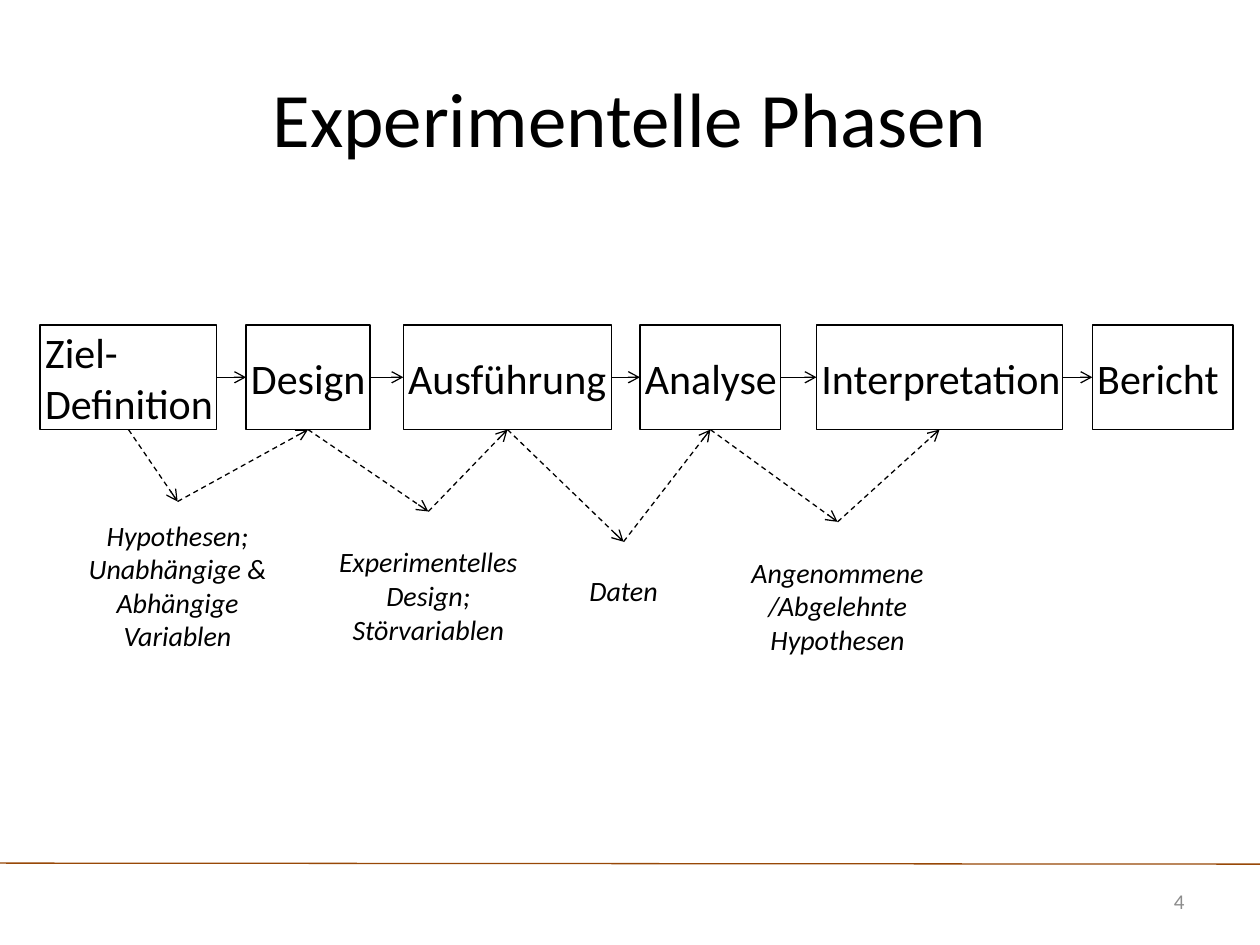
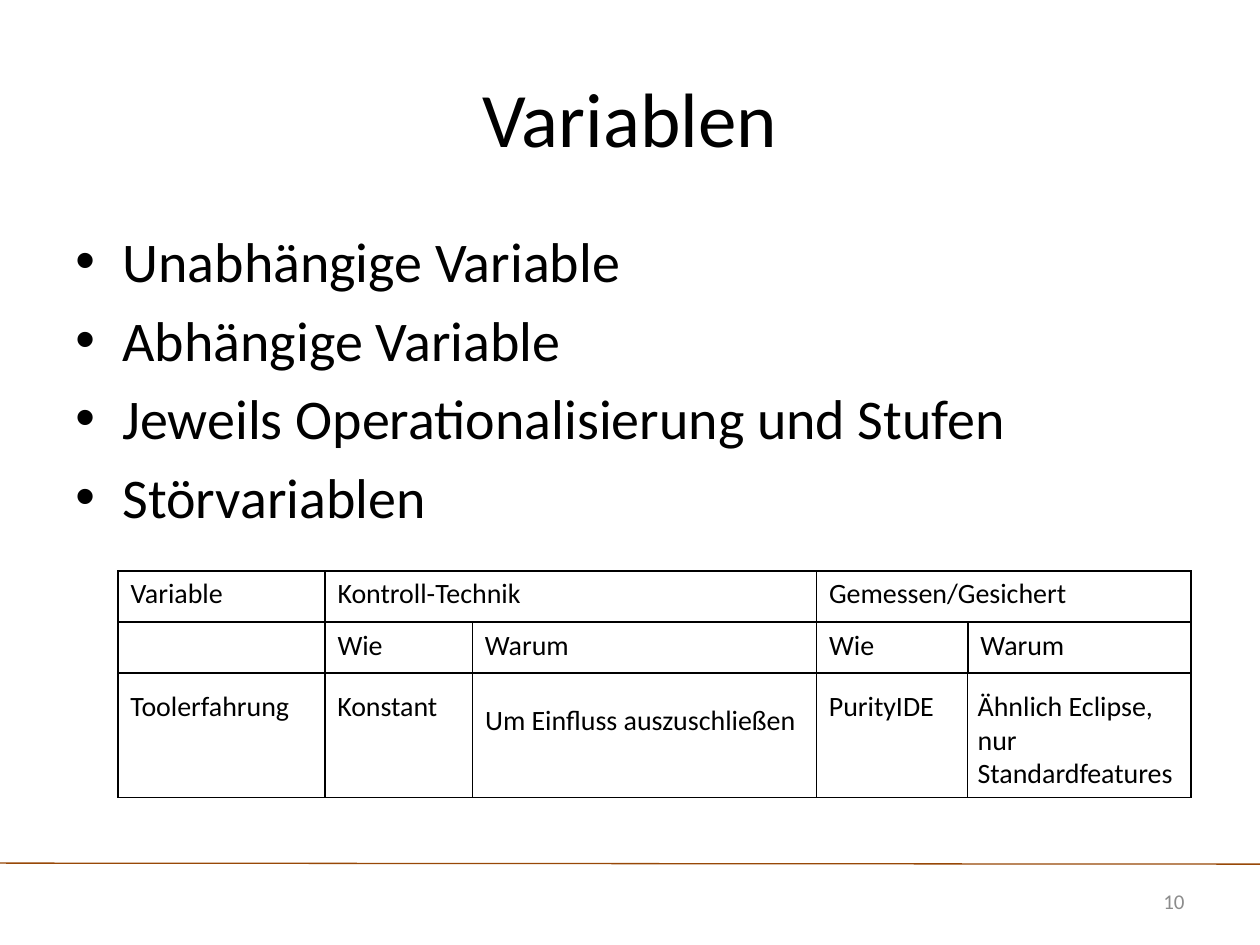
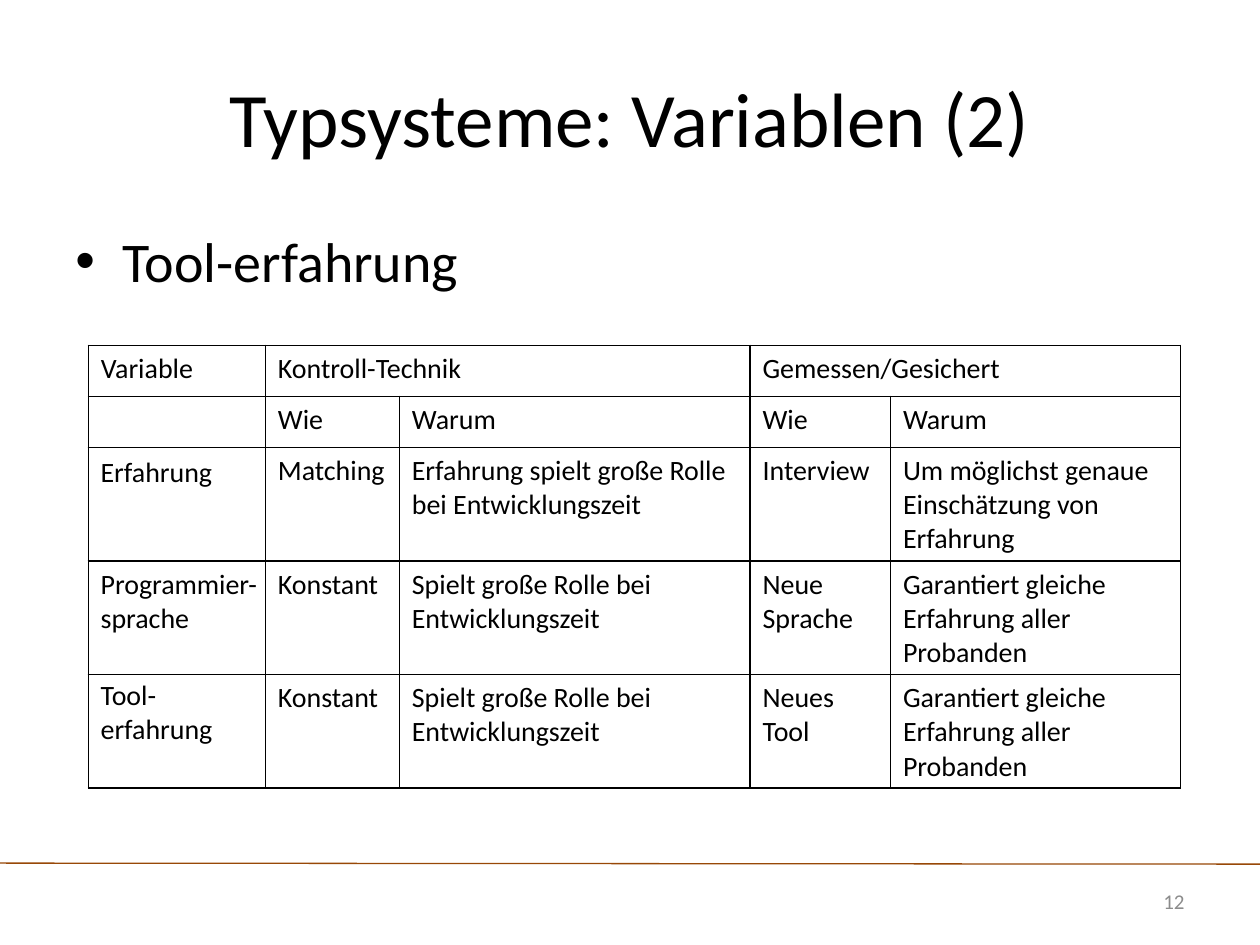
from dataclasses import dataclass
from itertools import accumulate, pairwise
from typing import Optional

from lxml.etree import SubElement
from pptx import Presentation
from pptx.dml.color import RGBColor
from pptx.enum.dml import MSO_LINE
from pptx.enum.shapes import MSO_CONNECTOR, MSO_SHAPE
from pptx.enum.text import MSO_ANCHOR, PP_ALIGN
from pptx.oxml.ns import qn
from pptx.shapes.autoshape import Shape
from pptx.shapes.connector import Connector
from pptx.slide import Slide
from pptx.text.text import TextFrame
from pptx.util import Cm, Pt

COLOURS = {"ink": "000000", "rule": "984807", "number": "8C8C8C"}
FONT = "Calibri"
TOP, LEFT, BOTTOM, RIGHT = range(4)  # connection sites of a rectangle


# Kinds of repeated elements, lengths in centimetres
@dataclass(frozen=True)
class Area:
    left: float
    top: float
    width: float
    height: float


@dataclass(frozen=True)
class TextStyle:
    size: float
    colour: str = "ink"
    align: PP_ALIGN = PP_ALIGN.LEFT
    anchor: MSO_ANCHOR = MSO_ANCHOR.MIDDLE
    italic: bool = False


@dataclass(frozen=True)
class Label:
    area: Area
    lines: tuple[str, ...]


@dataclass(frozen=True)
class Phase:
    left: float
    width: float
    name: str


TITLE = TextStyle(44, align=PP_ALIGN.CENTER)
BODY = TextStyle(32, anchor=MSO_ANCHOR.TOP)
NUMBER = TextStyle(12, "number", PP_ALIGN.RIGHT)
PHASE = TextStyle(24)
NOTE = TextStyle(16, align=PP_ALIGN.CENTER, italic=True)
CELL = TextStyle(16, anchor=MSO_ANCHOR.TOP)
ENTRY = TextStyle(16)

# Slide 1: phases and the results passed between them
PHASE_TOP, PHASE_HEIGHT = 6.55, 2.11
PHASES = [
    Phase(0.81, 3.56, "Ziel-Definition"),
    Phase(4.96, 2.5, "Design"),
    Phase(8.13, 4.2, "Ausführung"),
    Phase(12.9, 2.84, "Analyse"),
    Phase(16.46, 4.96, "Interpretation"),
    Phase(22.02, 2.84, "Bericht"),
]
RESULTS = [
    Label(Area(1.19, 10.11, 4.78, 3.38), ("Hypothesen; Unabhängige & Abhängige Variablen",)),
    Label(Area(6.55, 10.31, 4.17, 3.38), ("Experimentelles Design;", "Störvariablen")),
    Label(Area(11.3, 10.92, 2.54, 1.98), ("Daten",)),
    Label(Area(14.88, 10.52, 4.01, 3.38), ("Angenommene/Abgelehnte Hypothesen",)),
]

# Tables on slides 2 and 3
HEADER = [
    ["Variable", "Kontroll-Technik", "", "Gemessen/Gesichert", ""],
    ["", "Wie", "Warum", "Wie", "Warum"],
]
HEADER_ROW, ENTRY_ROW = 1.03, 2.29

TOOL_LEFT, TOOL_TOP = 2.38, 11.51
TOOL_COLUMNS = [4.17, 2.97, 6.94, 3.05, 4.5]
GRID_TOP, GRID_BOTTOM = 13.49, 16.08
TOOL_ENTRIES = [
    Label(Area(2.38, 13.92, 4.17, 0.58), ("Toolerfahrung",)),
    Label(Area(6.55, 13.92, 2.77, 0.58), ("Konstant",)),
    Label(Area(9.53, 13.9, 6.93, 1.2), ("Um Einfluss auszuschließen",)),
    Label(Area(16.46, 13.92, 2.97, 0.58), ("PurityIDE",)),
    Label(Area(19.46, 13.92, 4.57, 1.96), ("Ähnlich Eclipse, nur Standardfeatures",)),
]

TYPE_LEFT, TYPE_TOP = 1.78, 6.96
TYPE_COLUMNS = [3.57, 2.7, 7.07, 2.83, 5.85]
TYPE_ROWS = [
    ["", "Matching", "Erfahrung spielt große Rolle bei Entwicklungszeit",
     "Interview", "Um möglichst genaue Einschätzung von Erfahrung"],
    ["", "Konstant", "Spielt große Rolle bei Entwicklungszeit",
     "Neue Sprache", "Garantiert gleiche Erfahrung aller Probanden"],
    ["", "Konstant", "Spielt große Rolle bei Entwicklungszeit",
     "Neues Tool", "Garantiert gleiche Erfahrung aller Probanden"],
]
TYPE_NAMES = [
    Label(Area(1.78, 9.22, 4.17, 0.58), ("Erfahrung",)),
    Label(Area(1.78, 11.3, 3.73, 1.63), ("Programmier-", "sprache")),
    Label(Area(1.78, 13.54, 3.94, 1.63), ("Tool-", "erfahrung")),
]


def colour(name: str) -> RGBColor:
    return RGBColor.from_string(COLOURS[name])


# Text
def add_bullet(para) -> None:
    properties = para._p.get_or_add_pPr()
    properties.set("marL", str(Cm(0.95)))
    properties.set("indent", str(-Cm(0.95)))
    SubElement(properties, qn("a:buFont"), typeface="Arial")
    SubElement(properties, qn("a:buChar"), char="•")


def write(frame: TextFrame, lines: tuple[str, ...], style: TextStyle,
          bullets: bool = False) -> None:
    frame.word_wrap = True
    frame.vertical_anchor = style.anchor
    for index, line in enumerate(lines):
        para = frame.add_paragraph() if index else frame.paragraphs[0]
        para.alignment = style.align
        if bullets:
            if index:
                para.space_before = Pt(6.4)
            add_bullet(para)
        span = para.add_run()
        span.text = line
        span.font.name = FONT
        span.font.size = Pt(style.size)
        span.font.italic = style.italic
        span.font.color.rgb = colour(style.colour)


def add_text(page: Slide, label: Label, style: TextStyle, bullets: bool = False) -> Shape:
    area = label.area
    box = page.shapes.add_textbox(
        Cm(area.left), Cm(area.top), Cm(area.width), Cm(area.height))
    write(box.text_frame, label.lines, style, bullets)
    return box


# Lines and arrows
def add_line(page: Slide, start: tuple[float, float] = (0, 0),
             end: tuple[float, float] = (0, 0), ink: str = "ink",
             dash: Optional[MSO_LINE] = None) -> Connector:
    line = page.shapes.add_connector(
        MSO_CONNECTOR.STRAIGHT, *(Cm(value) for value in (*start, *end)))
    line.line.color.rgb = colour(ink)
    line.line.width = Pt(0.75)
    if dash:
        line.line.dash_style = dash
    SubElement(line.element.spPr, qn("a:effectLst"))
    return line


def join(page: Slide, source: Shape, source_site: int, target: Shape,
         target_site: int, dash: Optional[MSO_LINE] = None) -> None:
    arrow = add_line(page, dash=dash)
    arrow.begin_connect(source, source_site)
    arrow.end_connect(target, target_site)
    SubElement(arrow.element.spPr.find(qn("a:ln")), qn("a:tailEnd"), type="arrow")


# Tables
def add_borders(cell) -> None:
    properties = cell._tc.get_or_add_tcPr()
    for side in ("lnL", "lnR", "lnT", "lnB"):
        border = SubElement(properties, qn(f"a:{side}"), w=str(Pt(1)))
        fill = SubElement(border, qn("a:solidFill"))
        SubElement(fill, qn("a:srgbClr"), val=COLOURS["ink"])


def add_grid(page: Slide, left: float, top: float, columns: list[float],
             rows: list[list[str]], row_height: float, spans: bool = False) -> None:
    table = page.shapes.add_table(
        len(rows), len(columns), Cm(left), Cm(top),
        Cm(sum(columns)), Cm(row_height * len(rows))).table
    table.first_row = table.horz_banding = False
    for column, width in zip(table.columns, columns):
        column.width = Cm(width)
    for row, texts in zip(table.rows, rows):
        row.height = Cm(row_height)
        for cell, text in zip(row.cells, texts):
            add_borders(cell)
            cell.fill.background()
            if text:
                write(cell.text_frame, (text,), CELL)
    if spans:
        for first in (1, 3):
            table.cell(0, first).merge(table.cell(0, first + 1))


# Slides
def add_page(deck, title: str, number: int) -> Slide:
    page = deck.slides.add_slide(deck.slide_layouts[6])
    add_line(page, (0, 17.4), (25.4, 17.42), "rule")
    add_text(page, Label(Area(1.27, 0.76, 22.86, 3.18), (title,)), TITLE)
    add_text(page, Label(Area(21.82, 17.65, 2.31, 1.02), (str(number),)), NUMBER)
    return page


def add_body(page: Slide, *lines: str) -> None:
    add_text(page, Label(Area(1.27, 4.45, 22.86, 12.57), lines), BODY, bullets=True)


def add_phase(page: Slide, phase: Phase) -> Shape:
    box = page.shapes.add_shape(
        MSO_SHAPE.RECTANGLE, Cm(phase.left), Cm(PHASE_TOP),
        Cm(phase.width), Cm(PHASE_HEIGHT))
    box.shadow.inherit = False
    box.fill.background()
    box.line.color.rgb = colour("ink")
    box.line.width = Pt(0.75)
    frame = box.text_frame
    frame.margin_left = Cm(0.1)
    frame.margin_top = frame.margin_right = frame.margin_bottom = 0
    write(frame, (phase.name,), PHASE)
    return box


def build_phases(deck) -> None:
    page = add_page(deck, "Experimentelle Phasen", 4)
    phases = [add_phase(page, phase) for phase in PHASES]
    results = [add_text(page, result, NOTE) for result in RESULTS]
    for source, target in pairwise(phases):
        join(page, source, RIGHT, target, LEFT)
    for result, (source, target) in zip(results, pairwise(phases)):
        join(page, source, BOTTOM, result, TOP, MSO_LINE.DASH)
        join(page, result, TOP, target, BOTTOM, MSO_LINE.DASH)


def build_variables(deck) -> None:
    page = add_page(deck, "Variablen", 10)
    add_body(page, "Unabhängige Variable", "Abhängige Variable",
             "Jeweils Operationalisierung und Stufen", "Störvariablen")
    add_grid(page, TOOL_LEFT, TOOL_TOP, TOOL_COLUMNS, HEADER, HEADER_ROW, spans=True)
    for entry in TOOL_ENTRIES:
        add_text(page, entry, ENTRY)
    # Open frame below the table
    edges = list(accumulate(TOOL_COLUMNS, initial=TOOL_LEFT))
    for edge in edges:
        add_line(page, (edge, GRID_TOP), (edge, GRID_BOTTOM))
    add_line(page, (edges[0], GRID_BOTTOM), (edges[-1], GRID_BOTTOM))


def build_type_systems(deck) -> None:
    page = add_page(deck, "Typsysteme: Variablen (2)", 12)
    add_body(page, "Tool-erfahrung")
    add_grid(page, TYPE_LEFT, TYPE_TOP, TYPE_COLUMNS, HEADER, HEADER_ROW, spans=True)
    first_top = TYPE_TOP + HEADER_ROW * len(HEADER)
    for index, row in enumerate(TYPE_ROWS):
        add_grid(page, TYPE_LEFT, first_top + index * ENTRY_ROW,
                 TYPE_COLUMNS, [row], ENTRY_ROW)
    for name in TYPE_NAMES:
        add_text(page, name, ENTRY if len(name.lines) == 1 else CELL)


def main() -> None:
    deck = Presentation()
    deck.slide_width, deck.slide_height = Cm(25.4), Cm(19.05)
    build_phases(deck)
    build_variables(deck)
    build_type_systems(deck)
    deck.save("out.pptx")


if __name__ == "__main__":
    main()
